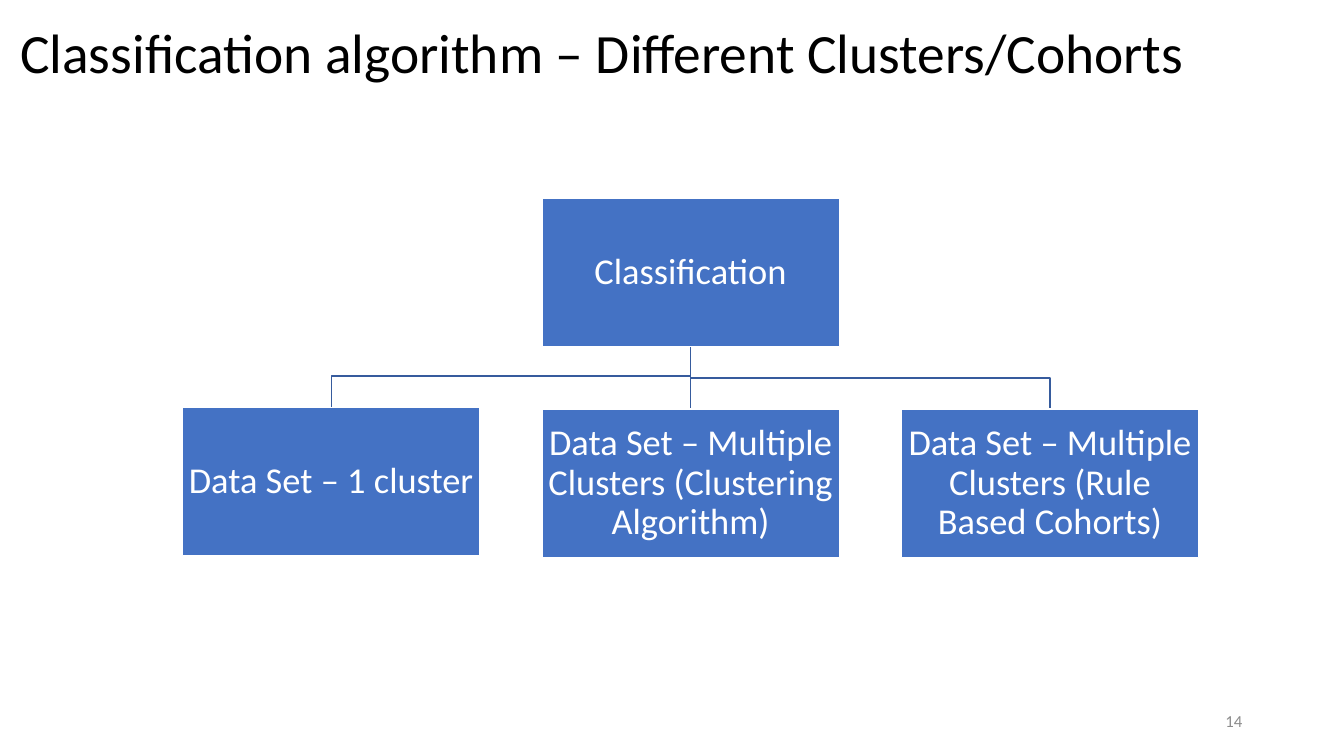
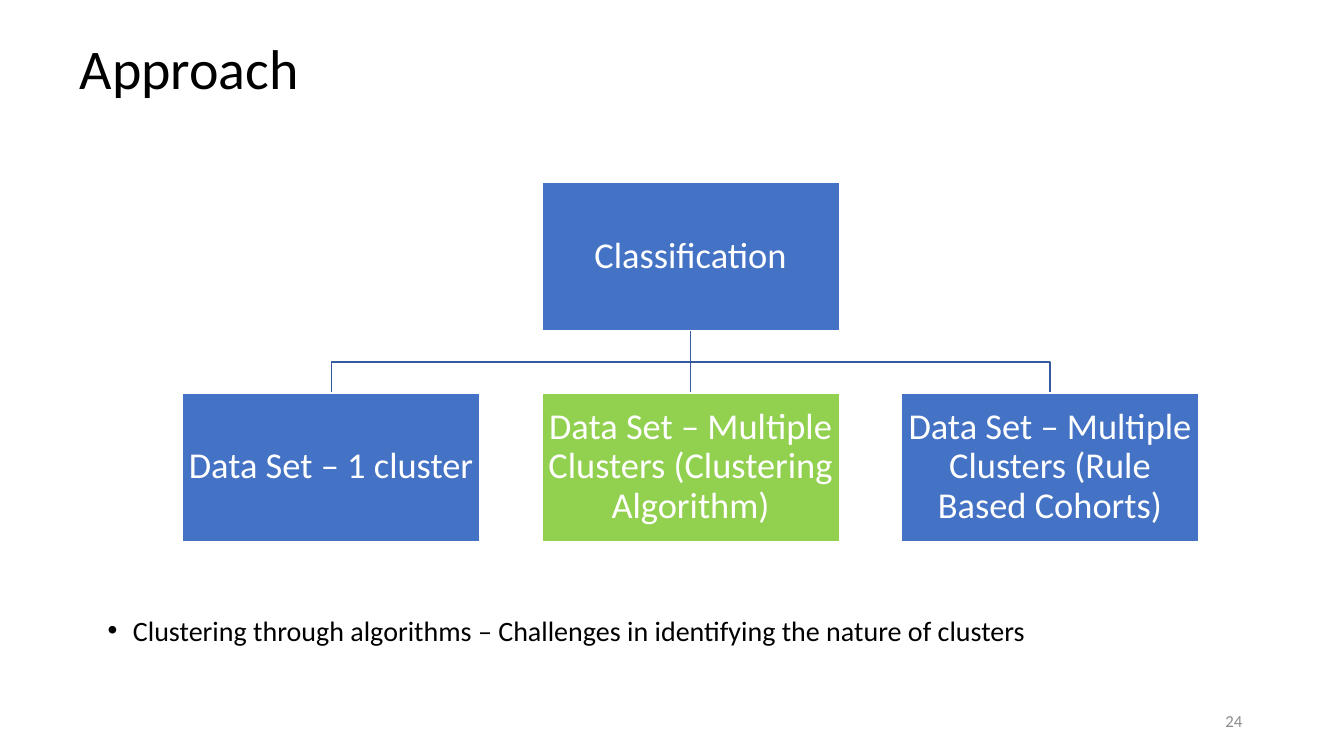
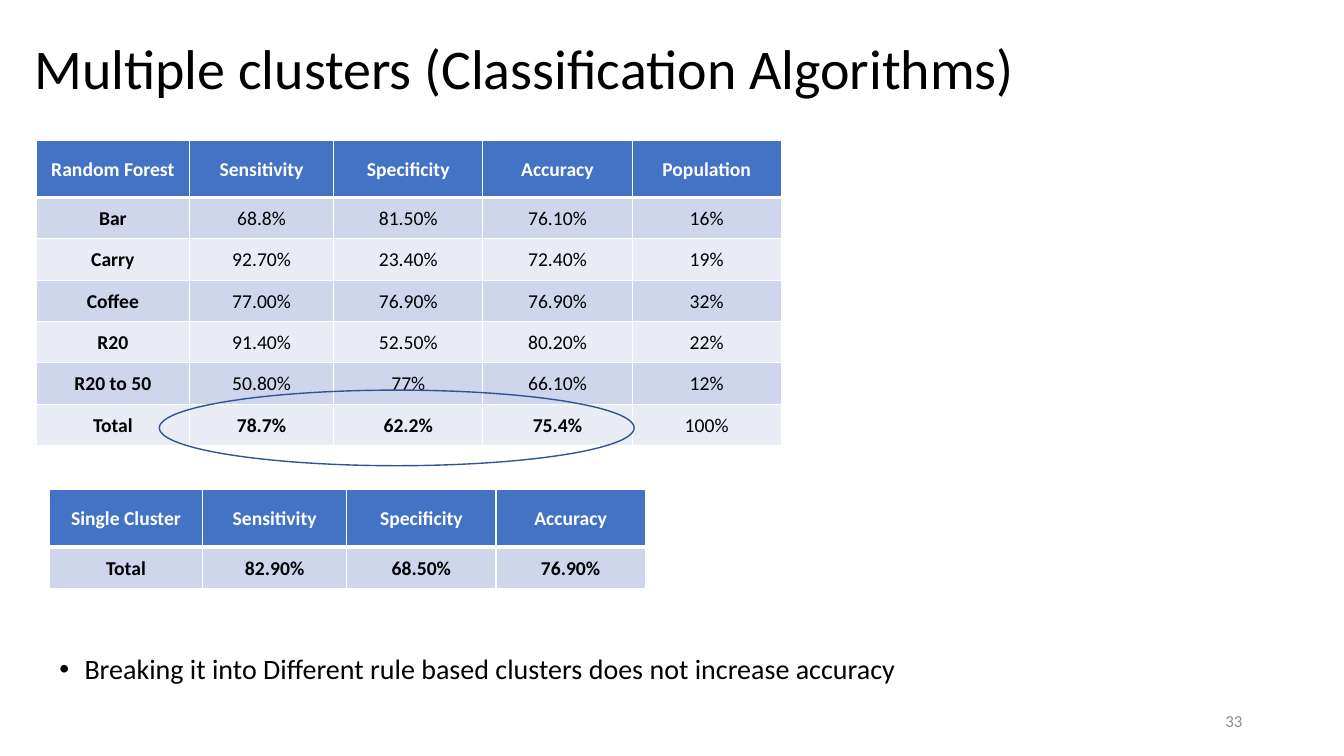
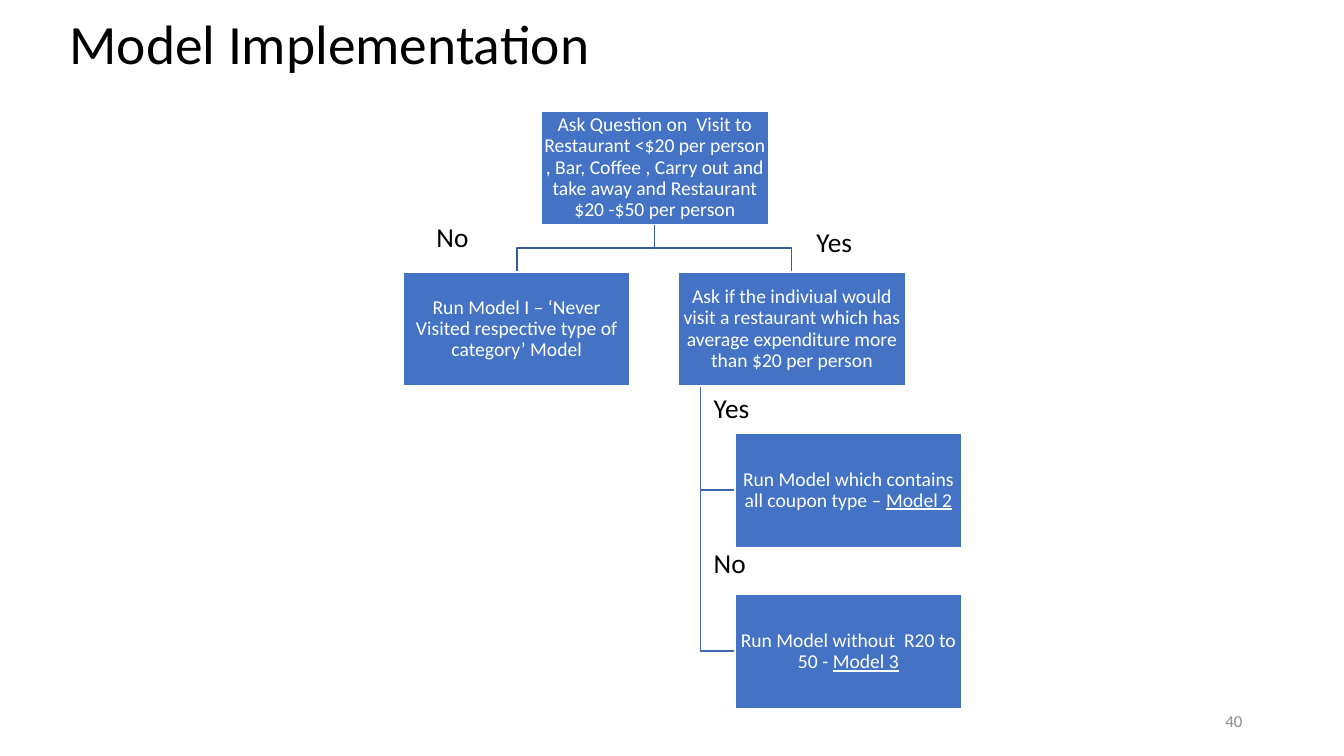
"""Build four slides on classification clusters and the model roll-out."""
import pptx
import pptx.dml.color
import pptx.enum.shapes
import pptx.enum.text
import pptx.oxml
import pptx.oxml.ns
import pptx.util
from lxml import etree

Inches = pptx.util.Inches
Pt = pptx.util.Pt
RGBColor = pptx.dml.color.RGBColor
ALIGN = pptx.enum.text.PP_ALIGN
ANCHOR = pptx.enum.text.MSO_ANCHOR
SHAPE = pptx.enum.shapes.MSO_SHAPE
qn = pptx.oxml.ns.qn

FONT = "Calibri"
BLACK = RGBColor(0x00, 0x00, 0x00)
WHITE = RGBColor(0xFF, 0xFF, 0xFF)
GRAY = RGBColor(0x8C, 0x8C, 0x8C)
BLUE = RGBColor(0x44, 0x72, 0xC4)
GREEN = RGBColor(0x92, 0xD0, 0x50)
BRANCH_DARK = RGBColor(0x36, 0x5B, 0x9D)
BRANCH_LIGHT = RGBColor(0x3E, 0x67, 0xB2)
ELLIPSE_LINE = RGBColor(0x32, 0x54, 0x91)
BAND_DARK = RGBColor(0xCF, 0xD5, 0xEA)
BAND_LIGHT = RGBColor(0xE9, 0xEB, 0xF5)


def write(frame, text, size=20, color=BLACK, bold=False, align=ALIGN.LEFT,
          anchor=None, inset=None, spacing=None, underlined="", bullet=False):
    """Put one formatted paragraph into a text frame."""
    frame.word_wrap = True
    if anchor is not None:
        frame.auto_size = pptx.enum.text.MSO_AUTO_SIZE.NONE
        frame.vertical_anchor = anchor
    if inset is not None:
        frame.margin_left = frame.margin_right = Inches(inset)
        frame.margin_top = frame.margin_bottom = Inches(inset)
    paragraph = frame.paragraphs[0]
    if bullet:
        properties = paragraph._p.get_or_add_pPr()
        properties.set("marL", str(Inches(0.25)))
        properties.set("indent", str(-Inches(0.25)))
        etree.SubElement(properties, qn("a:buFont")).set("typeface", "Arial")
        etree.SubElement(properties, qn("a:buChar")).set("char", "•")
    paragraph.alignment = align
    if spacing:
        paragraph.line_spacing = spacing
    for part in filter(None, (text, underlined)):
        run = paragraph.add_run()
        run.text = part
        run.font.name = FONT
        run.font.size = Pt(size)
        run.font.bold = bold
        run.font.color.rgb = color
        if part == underlined:
            run.font.underline = True


def add_branch(slide, points, color):
    """Draw an open line through points given in inches."""
    (start_x, start_y), *others = [(Inches(x), Inches(y)) for x, y in points]
    builder = slide.shapes.build_freeform(start_x, start_y)
    builder.add_line_segments(others, close=False)
    branch = builder.convert_to_shape()
    branch.shadow.inherit = False
    branch.fill.background()
    branch.line.color.rgb = color
    branch.line.width = Pt(1)


presentation = pptx.Presentation()
presentation.slide_width = Inches(13.33)
presentation.slide_height = Inches(7.5)

titles = [
    ("Classification algorithm – Different Clusters/Cohorts", 39.6, 0.1, 0.15, 11.83, 0.8, "14"),
    ("Approach", 40, 0.69, 0.21, 11.5, 1, "24"),
    ("Multiple clusters (Classification Algorithms)", 40, 0.24, 0.21, 12.37, 1, "33"),
    ("Model Implementation", 39.6, 0.59, 0.16, 12.37, 0.61, "40"),
]
slides = []
for text, size, left, top, width, height, number in titles:
    slide = presentation.slides.add_slide(presentation.slide_layouts[5])
    title = slide.shapes.title
    title.left, title.top = Inches(left), Inches(top)
    title.width, title.height = Inches(width), Inches(height)
    write(title.text_frame, text, size=size, anchor=ANCHOR.MIDDLE, spacing=0.9)
    number_box = slide.shapes.add_textbox(Inches(9.42), Inches(6.95), Inches(3), Inches(0.4))
    write(number_box.text_frame, number, size=12, color=GRAY, align=ALIGN.RIGHT,
          anchor=ANCHOR.MIDDLE)
    slides.append(slide)
overview_slide, approach_slide, results_slide, model_slide = slides

bullets = [
    (approach_slide, 0.97, 6.07, 0.65,
     "Clustering through algorithms – Challenges in identifying the nature of clusters"),
    (results_slide, 0.49, 6.45, 1.05,
     "Breaking it into Different rule based clusters does not increase accuracy"),
]
for slide, left, top, height, text in bullets:
    box = slide.shapes.add_textbox(Inches(left), Inches(top), Inches(12.37), Inches(height))
    write(box.text_frame, text, anchor=ANCHOR.TOP, spacing=0.9, bullet=True)

box_width, box_height = 2.95, 1.47
box_lefts = [1.81 + 3.565 * column for column in range(3)]
root_center = box_lefts[1] + box_width / 2
data_sets = [
    "Data Set – 1 cluster",
    "Data Set – Multiple Clusters (Clustering Algorithm)",
    "Data Set – Multiple Clusters (Rule Based Cohorts)",
]
trees = [
    (overview_slide, 1.97, (4.04, 4.06, 4.06), (BLUE, BLUE, BLUE)),
    (approach_slide, 1.81, (3.9, 3.9, 3.9), (BLUE, GREEN, BLUE)),
]
tree_boxes = []
for slide, root_top, child_tops, child_fills in trees:
    root_bottom = root_top + box_height
    for side in (2, 0):
        child_center = box_lefts[side] + box_width / 2
        bend = child_tops[side] - 0.31
        add_branch(slide, [(root_center, root_bottom), (root_center, bend),
                           (child_center, bend), (child_center, child_tops[side])], BRANCH_DARK)
    stem = slide.shapes.add_connector(
        pptx.enum.shapes.MSO_CONNECTOR.STRAIGHT, Inches(root_center), Inches(root_bottom),
        Inches(root_center), Inches(child_tops[1]))
    stem.line.color.rgb = BRANCH_DARK
    stem.line.width = Pt(1)
    etree.SubElement(stem._element.spPr, qn("a:effectLst"))
    tree_boxes.append((slide, box_lefts[1], root_top, box_width, box_height, BLUE, 26, 0.02,
                       "Classification", ""))
    for left, top, fill, text in zip(box_lefts, child_tops, child_fills, data_sets):
        tree_boxes.append((slide, left, top, box_width, box_height, fill, 26, 0.02, text, ""))

for bottom in (6.46, 4.86):
    add_branch(model_slide, [(6.95, 3.82), (6.95, bottom), (7.29, bottom)], BRANCH_LIGHT)
for center in (7.85, 5.13):
    add_branch(model_slide, [(6.49, 2.22), (6.49, 2.46), (center, 2.46), (center, 2.7)],
               BRANCH_DARK)
steps = [
    (5.37, 0, "Ask Question on  Visit to Restaurant <$20 per person , Bar, Coffee , Carry out "
              "and take away and Restaurant $20 -$50 per person", ""),
    (4, 1, "Run Model I – ‘Never Visited respective type of category’ Model", ""),
    (6.73, 1, "Ask if the indiviual would visit a restaurant which has average expenditure "
              "more than $20 per person", ""),
    (7.29, 2, "Run Model which contains all coupon type – ", "Model 2"),
    (7.29, 3, "Run Model without  R20 to 50 - ", "Model 3"),
]
for left, level, text, underlined in steps:
    tree_boxes.append((model_slide, left, 1.1 + 1.6 * level, 2.25, 1.13, BLUE, 14, 0.01,
                       text, underlined))

for slide, left, top, width, height, fill, size, inset, text, underlined in tree_boxes:
    box = slide.shapes.add_shape(SHAPE.RECTANGLE, Inches(left), Inches(top),
                                 Inches(width), Inches(height))
    box.shadow.inherit = False
    box.fill.solid()
    box.fill.fore_color.rgb = fill
    box.line.color.rgb = WHITE
    box.line.width = Pt(1)
    write(box.text_frame, text, size=size, color=WHITE, align=ALIGN.CENTER,
          anchor=ANCHOR.MIDDLE, inset=inset, spacing=0.9, underlined=underlined)

for text, left, top in [("No", 4.23, 2.06), ("Yes", 8, 2.11), ("Yes", 6.98, 3.76),
                        ("No", 6.98, 5.3)]:
    label = model_slide.shapes.add_textbox(Inches(left), Inches(top), Inches(0.63), Inches(0.61))
    write(label.text_frame, text, size=19.5, anchor=ANCHOR.MIDDLE, spacing=0.9)

column_widths = [1.52, 1.43, 1.48, 1.48, 1.48]
header_height, row_height = 0.57, 0.41
tables = [
    (0.36, 1.39, [
        ("Random Forest", "Sensitivity", "Specificity", "Accuracy", "Population"),
        ("Bar", "68.8%", "81.50%", "76.10%", "16%"),
        ("Carry", "92.70%", "23.40%", "72.40%", "19%"),
        ("Coffee", "77.00%", "76.90%", "76.90%", "32%"),
        ("R20", "91.40%", "52.50%", "80.20%", "22%"),
        ("R20 to 50", "50.80%", "77%", "66.10%", "12%"),
        ("Total", "78.7%", "62.2%", "75.4%", "100%"),
    ]),
    (0.49, 4.86, [
        ("Single Cluster", "Sensitivity", "Specificity", "Accuracy"),
        ("Total", "82.90%", "68.50%", "76.90%"),
    ]),
]
for left, top, rows in tables:
    widths = column_widths[:len(rows[0])]
    height = header_height + row_height * (len(rows) - 1)
    table = results_slide.shapes.add_table(
        len(rows), len(widths), Inches(left), Inches(top),
        Inches(sum(widths)), Inches(height)).table
    for column, width in zip(table.columns, widths):
        column.width = Inches(width)
    for row_index, values in enumerate(rows):
        is_header = row_index == 0
        table.rows[row_index].height = Inches(header_height if is_header else row_height)
        band = BLUE if is_header else BAND_DARK if row_index % 2 else BAND_LIGHT
        borders = {"L": 1, "R": 1, "T": 3 if row_index == 1 else 1, "B": 3 if is_header else 1}
        for column_index, text in enumerate(values):
            cell = table.cell(row_index, column_index)
            cell.vertical_anchor = ANCHOR.MIDDLE
            cell.margin_left = cell.margin_right = cell.margin_top = Inches(0.01)
            cell.margin_bottom = 0
            properties = cell._tc.get_or_add_tcPr()
            for side, weight in borders.items():
                border = etree.SubElement(properties, qn("a:ln" + side), w=str(Pt(weight)))
                border_fill = etree.SubElement(border, qn("a:solidFill"))
                etree.SubElement(border_fill, qn("a:srgbClr"), val=str(WHITE))
            cell.fill.solid()
            cell.fill.fore_color.rgb = band
            is_bold = is_header or column_index == 0 or (values[0] == "Total" and column_index < 4)
            write(cell.text_frame, text, size=14, color=WHITE if is_header else BLACK,
                  bold=is_bold, align=ALIGN.CENTER)

highlight = results_slide.shapes.add_shape(SHAPE.OVAL, Inches(1.58), Inches(3.87),
                                           Inches(4.71), Inches(0.75))
highlight.shadow.inherit = False
highlight.fill.background()
highlight.line.color.rgb = ELLIPSE_LINE
highlight.line.width = Pt(1)

presentation.save("out.pptx")
